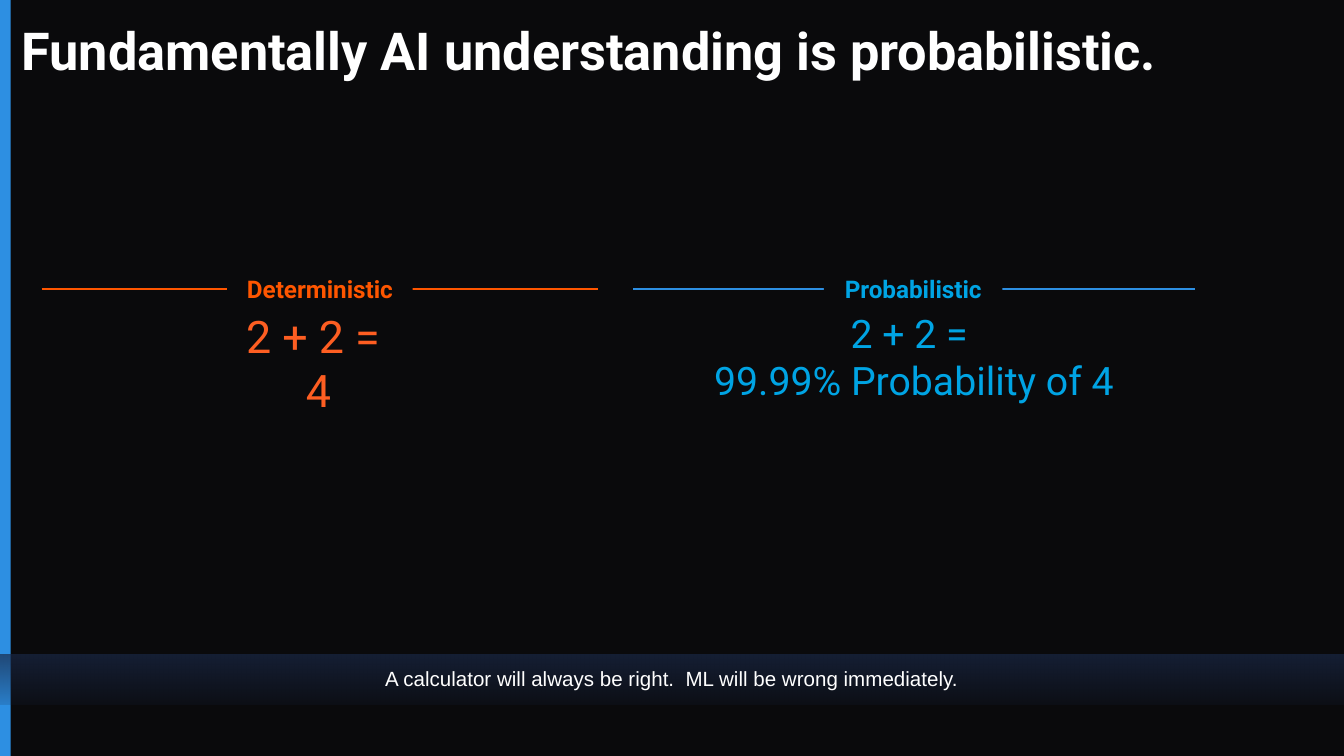
from typing import NamedTuple

import lxml.etree
import pptx
import pptx.dml.color
import pptx.enum.dml
import pptx.enum.shapes
import pptx.enum.text
import pptx.oxml.ns
import pptx.util

ALIGN = pptx.enum.text.PP_ALIGN
ANCHOR = pptx.enum.text.MSO_ANCHOR
AUTO = pptx.enum.text.MSO_AUTO_SIZE
QN = pptx.oxml.ns.qn
BACKGROUND, BLUE, WHITE, NAVY = "0A0A0C", "2D8FE2", "FFFFFF", "1A2846"
RULE_Y = 38.22
BODY_TOP = 39.11

prs = pptx.Presentation()
prs.slide_width = pptx.util.Inches(10)
prs.slide_height = pptx.util.Inches(5.625)


class Box(NamedTuple):
    """Position and size in percent of the slide."""
    left: float
    top: float
    width: float
    height: float


class Column(NamedTuple):
    heading: str
    lines: list[str]
    rule: tuple[float, float]
    rule_color: str
    mask: tuple[float, float]
    label_height: float
    label_inset: float
    heading_color: str
    body: Box
    body_color: str
    body_size: float


COLUMNS = [
    Column("Deterministic", ["2 + 2 = ", "4"], (3.1, 44.5), "FF5600",
           (16.9, 13.8), 5.69, 0.05, "FF5600",
           Box(3.1, BODY_TOP, 41.2, 17.96), "FE5E22", 24),
    Column("Probabilistic", ["2 + 2 = ", "99.99% Probability of 4"], (47.1, 88.9), BLUE,
           (61.3, 13.3), 7.47, 0.1, "00A4E4",
           Box(47.4, BODY_TOP, 41.2, 15.82), "00A4E4", 21),
]


def rgb(color: str) -> pptx.dml.color.RGBColor:
    return pptx.dml.color.RGBColor.from_string(color)


def across(share: float) -> int:
    return round(prs.slide_width * share / 100)


def down(share: float) -> int:
    return round(prs.slide_height * share / 100)


def place(box: Box) -> tuple[int, int, int, int]:
    return across(box.left), down(box.top), across(box.width), down(box.height)


def write(sp, lines: list[str], size: float, color: str, font: str = "Roboto",
          bold: bool = False, align=ALIGN.CENTER, anchor=ANCHOR.MIDDLE,
          inset: float = 0.1, auto_size=AUTO.SHAPE_TO_FIT_TEXT) -> None:
    tf = sp.text_frame
    margin = pptx.util.Inches(inset)
    frame = {"word_wrap": True, "auto_size": auto_size, "vertical_anchor": anchor}
    frame |= {f"margin_{side}": margin for side in ("left", "top", "right", "bottom")}
    for name, value in frame.items():
        setattr(tf, name, value)
    for i, line in enumerate(lines):
        p = tf.add_paragraph() if i else tf.paragraphs[0]
        p.alignment = align
        r = p.add_run()
        r.text = line
        for name, value in {"name": font, "size": pptx.util.Pt(size), "bold": bold}.items():
            setattr(r.font, name, value)
        r.font.color.rgb = rgb(color)


def add_rect(shapes, box: Box, color: str):
    sp = shapes.add_shape(pptx.enum.shapes.MSO_SHAPE.RECTANGLE, *place(box))
    sp.shadow.inherit = False
    sp.line.fill.background()
    sp.fill.solid()
    sp.fill.fore_color.rgb = rgb(color)
    return sp


def add_rule(shapes, start: float, end: float, y: float, color: str) -> None:
    line = shapes.add_connector(pptx.enum.shapes.MSO_CONNECTOR.STRAIGHT,
                                across(start), down(y), across(end), down(y))
    line.line.color.rgb = rgb(color)
    line.line.width = pptx.util.Pt(0.75)
    lxml.etree.SubElement(line._element.spPr, QN("a:effectLst"))


def fade(sp, color: str, opacities: tuple[int, int]) -> None:
    sp.fill.gradient()
    sp.fill.gradient_angle = 270
    for stop, position, opacity in zip(sp.fill.gradient_stops, (0, 1), opacities):
        stop.position = position
        stop.color.rgb = rgb(color)
    for clr, opacity in zip(sp._element.spPr.iter(QN("a:srgbClr")), opacities):
        lxml.etree.SubElement(clr, QN("a:alpha"), val=str(opacity * 1000))


def add_column(shapes, col: Column) -> None:
    add_rule(shapes, *col.rule, RULE_Y, col.rule_color)
    group = shapes.add_group_shape().shapes
    left, width = col.mask
    add_rect(group, Box(left, RULE_Y - 1.69, width, 3.38), BACKGROUND)
    label = group.add_textbox(*place(
        Box(left, RULE_Y - col.label_height / 2, width, col.label_height)))
    write(label, [col.heading], 13, col.heading_color, bold=True, inset=col.label_inset)
    body = shapes.add_textbox(*place(col.body))
    write(body, col.lines, col.body_size, col.body_color, anchor=ANCHOR.TOP)


def add_band(shapes, text: str) -> None:
    group = shapes.add_group_shape().shapes
    fade(add_rect(group, Box(0, 86.58, 100, 6.58), NAVY), NAVY, (70, 15))
    caption = group.add_textbox(*place(Box(0, 86.4, 100, 6.76)))
    write(caption, [text], 11, WHITE, font="Arial")


def main() -> None:
    s = prs.slides.add_slide(prs.slide_layouts[5])
    s.background.fill.solid()
    s.background.fill.fore_color.rgb = rgb(BACKGROUND)
    add_rect(s.shapes, Box(0, 0, 0.8, 100), BLUE)

    title = s.shapes.title
    title.left, title.top, title.width, title.height = place(Box(1.2, 1.24, 91.4, 11.56))
    write(title, ["Fundamentally AI understanding is probabilistic."], 28, WHITE,
          bold=True, align=ALIGN.LEFT, inset=0.04, auto_size=AUTO.NONE)
    title.text_frame.paragraphs[0].line_spacing = 0.9

    for col in COLUMNS:
        add_column(s.shapes, col)
    add_band(s.shapes, "A calculator will always be right.  ML will be wrong immediately.")
    prs.save("out.pptx")


if __name__ == "__main__":
    main()
